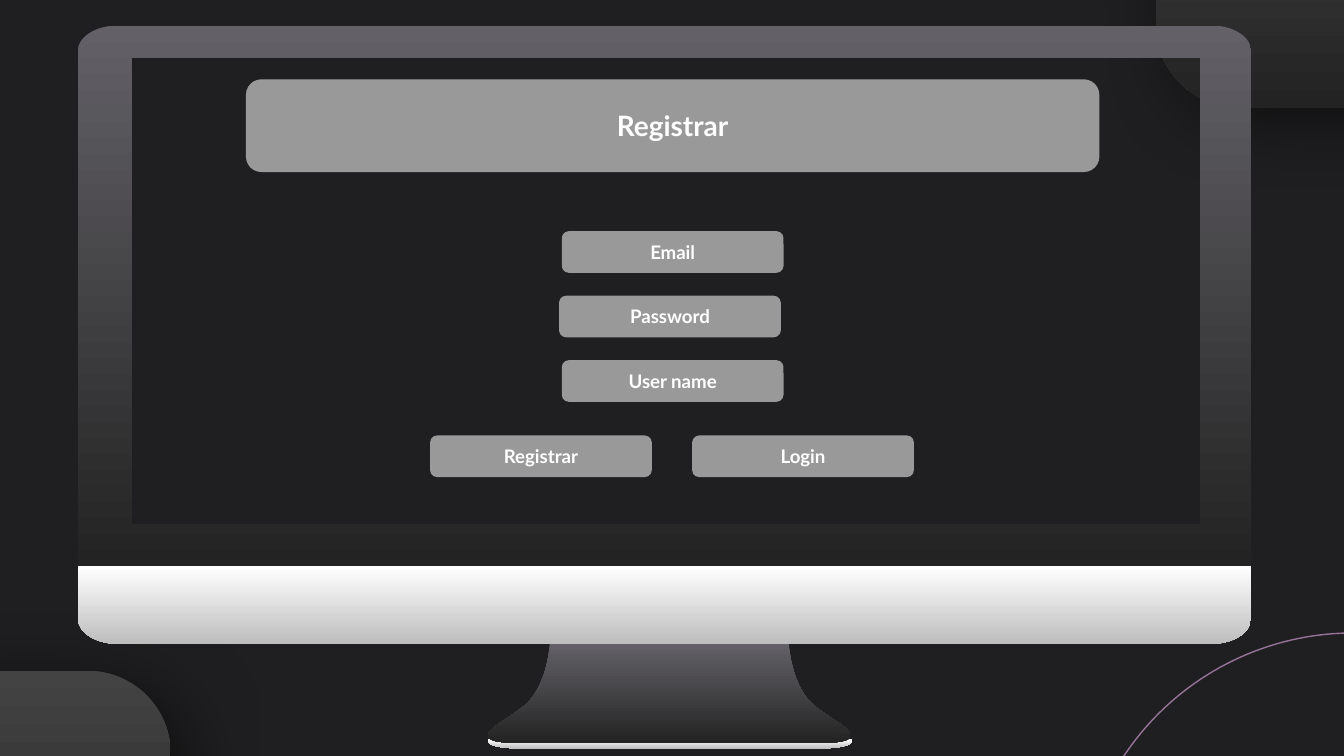
from lxml import etree
from pptx import Presentation
from pptx.dml.color import RGBColor
from pptx.enum.shapes import MSO_SHAPE
from pptx.enum.text import MSO_ANCHOR, PP_ALIGN
from pptx.oxml.ns import qn
from pptx.util import Inches, Pt

ROUND = MSO_SHAPE.ROUNDED_RECTANGLE
OVAL = MSO_SHAPE.OVAL
MIDDLE = MSO_ANCHOR.MIDDLE
CENTER = PP_ALIGN.CENTER

BACK = RGBColor(0x1F, 0x1E, 0x20)
WHITE = RGBColor(0xFF, 0xFF, 0xFF)
SILVER = RGBColor(0xBE, 0xBE, 0xBE)
GREY = RGBColor(0x99, 0x99, 0x99)
STEEL = RGBColor(0x63, 0x61, 0x67)
SLATE = RGBColor(0x43, 0x43, 0x43)
DARK = RGBColor(0x23, 0x23, 0x23)
MAUVE = RGBColor(0x97, 0x74, 0x99)
BLACK = RGBColor(0, 0, 0)

COLS = 100


def bend(shape, steps):
    lines = list(shape._element.iter(qn("a:lnTo")))
    for step in steps:
        group, lines = lines[:step], lines[step:]
        if step == 1:
            continue
        curve = etree.Element(qn("a:cubicBezTo"))
        group[0].addprevious(curve)
        for line in group:
            curve.append(line[0])
            line.getparent().remove(line)


class Canvas:
    font = "Lato"

    def __init__(self, deck):
        self.slide = deck.slides.add_slide(deck.slide_layouts[6])
        self.shapes = self.slide.shapes
        self.cell = deck.slide_width / COLS
        fill = self.slide.background.fill
        fill.solid()
        fill.fore_color.rgb = BACK

    def size(self, *cells):
        return [round(c * self.cell) for c in cells]

    def blend(self, shape, top, bottom):
        shape.fill.gradient()
        shape.fill.gradient_angle = 270
        for stop, color in zip(shape.fill.gradient_stops, (top, bottom)):
            stop.color.rgb = color
        shape.line.fill.background()

    def box(self, kind, left, top, width, height):
        shape = self.shapes.add_shape(kind, *self.size(left, top, width, height))
        shape.shadow.inherit = False
        return shape

    def corner(self, left, top):
        shape = self.box(ROUND, left, top, 22.7, 21.2)
        shape.adjustments[0] = 0.291
        self.blend(shape, SLATE, DARK)
        effects = shape._element.spPr.find(qn("a:effectLst"))
        shadow = etree.SubElement(
            effects, qn("a:outerShdw"), blurRad=str(Pt(39.4)),
            dist=str(Pt(11.2)), dir="2400000", algn="bl", rotWithShape="0")
        color = etree.SubElement(shadow, qn("a:srgbClr"), val=str(BLACK))
        etree.SubElement(color, qn("a:alpha"), val="50000")

    def ring(self, left, top, width):
        shape = self.box(OVAL, left, top, width, width)
        shape.fill.background()
        shape.line.color.rgb = MAUVE
        shape.line.width = Pt(0.75)

    def mirror(self, colors, *halves):
        pen = None
        steps = []
        for axis, half in halves:
            left = [n[i:i + 2] for n in half for i in range(0, len(n), 2)]
            right = [(2 * axis - x, y) for x, y in reversed(left)]
            points = [self.size(*p) for p in left + right]
            if pen is None:
                pen = self.shapes.build_freeform(*points[0])
            else:
                pen.move_to(*points[0])
            pen.add_line_segments(points[1:], close=True)
            side = [len(n) // 2 for n in half[1:]]
            steps += side + [1] + side[::-1]
        shape = pen.convert_to_shape()
        shape.shadow.inherit = False
        bend(shape, steps)
        self.blend(shape, *colors)

    def button(self, text, left, top, width=16.5, height=3.1, size=10):
        shape = self.box(ROUND, left, top, width, height)
        shape.fill.solid()
        shape.fill.fore_color.rgb = GREY
        shape.line.fill.background()
        frame = shape.text_frame
        frame.margin_left = frame.margin_right = Inches(0.1)
        frame.margin_top = frame.margin_bottom = Inches(0.1)
        frame.vertical_anchor = MIDDLE
        frame.text = text
        line = frame.paragraphs[0]
        line.alignment = CENTER
        font = line.runs[0].font
        font.name = self.font
        font.size = Pt(size)
        font.bold = True
        font.color.rgb = WHITE


def main():
    deck = Presentation()
    deck.slide_width = Inches(10)
    deck.slide_height = Inches(5.625)
    page = Canvas(deck)

    page.corner(-10, 49.9)
    page.ring(80.2, 47.1, 41)
    page.corner(86, -13.2)

    light, dark = (WHITE, SILVER), (STEEL, DARK)
    foot = [(39.2, 55.3), (37.6, 55.3, 36.8, 55.2, 36.5, 55),
            (36.3, 55), (36.3, 55.1), (36.3, 55.5, 37.2, 55.7, 39.3, 55.7)]
    neck = [(40.9, 47.9), (40.9, 47.9, 40.8, 51.1, 38.9, 52.6),
            (37.6, 53.6, 35.7, 54.5, 36.5, 55),
            (36.8, 55.2, 37.6, 55.3, 39.2, 55.3)]
    chin = [(5.8, 42.1), (5.8, 46), (5.8, 47.1, 7.2, 47.9, 8.7, 47.9)]
    frame = [(8.7, 1.9), (7.2, 1.9, 5.8, 2.7, 5.8, 3.8), (5.8, 42.1)]
    screen = [(9.8, 39), (9.8, 4.3)]
    page.mirror(light, (49.85, foot))
    page.mirror(dark, (49.8, neck))
    page.mirror(light, (49.45, chin))
    page.mirror(dark, (49.45, frame), (49.55, screen))

    page.button("Registrar", 18.3, 5.9, 63.5, 6.9, 15)
    fields = (("Email", 41.8), ("Password", 41.6), ("User name", 41.8))
    for row, (text, left) in enumerate(fields):
        page.button(text, left, 17.2 + 4.8 * row)
    for col, text in enumerate(("Registrar", "Login")):
        page.button(text, 32 + 19.5 * col, 32.4)

    deck.save("out.pptx")


if __name__ == "__main__":
    main()
